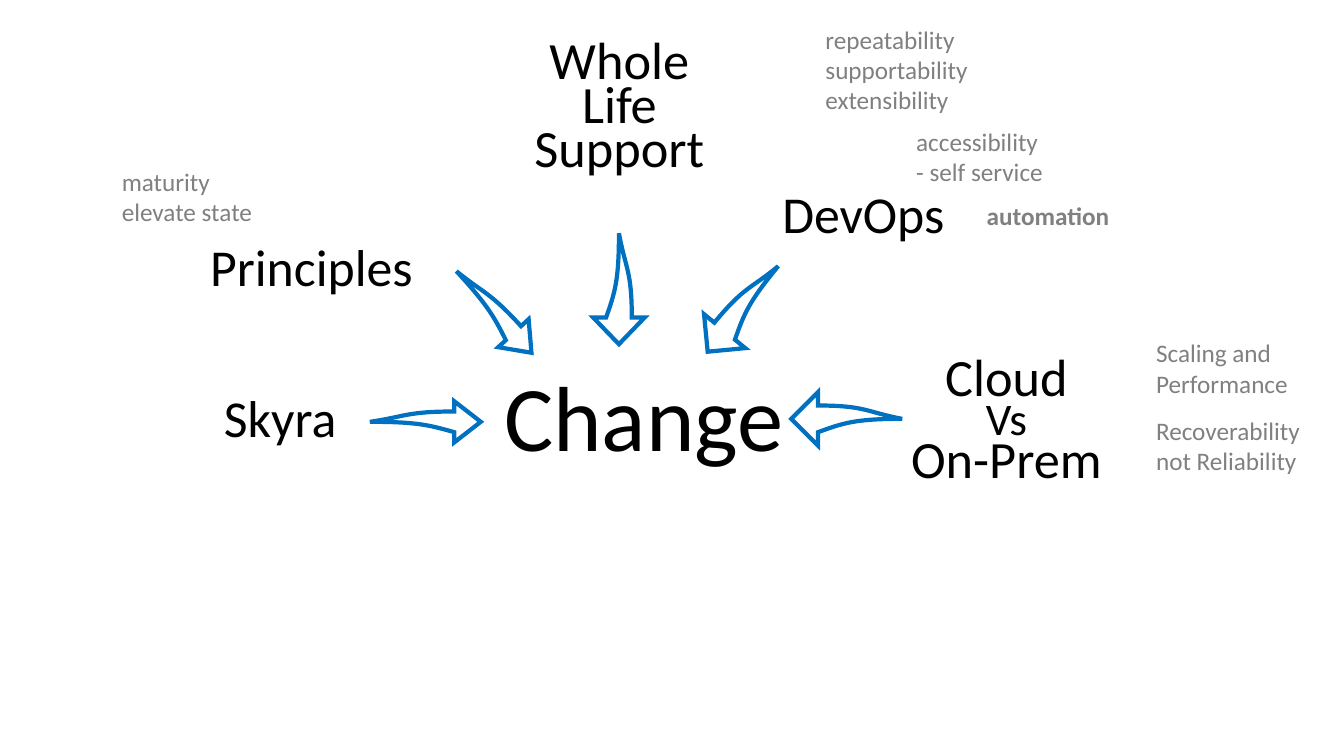
from lxml.etree import SubElement
from pptx import Presentation
from pptx.dml.color import RGBColor
from pptx.enum.text import MSO_ANCHOR, MSO_AUTO_SIZE, PP_ALIGN
from pptx.oxml.ns import qn
from pptx.util import Inches, Pt

COLORS = {"ink": "000000", "note": "808080", "arrow": "0070C0"}
FONT = "Calibri"
CELL = Inches(0.1)  # the grid has 133.33 columns and 75 rows
COLS, ROWS = 133.33, 75
REACH = 11  # length of each arrow in columns


def cells(*nums):
    return [round(n * CELL) for n in nums]


def write(shape, text, size=37, color="ink", bold=False, space=None,
          align=PP_ALIGN.LEFT, anchor=MSO_ANCHOR.TOP, wrap=True,
          fit=MSO_AUTO_SIZE.NONE, sizes=None):
    """Fill a shape with one paragraph per line of text."""
    frame = shape.text_frame
    frame.text = text
    frame.word_wrap = wrap
    frame.auto_size = fit
    frame.vertical_anchor = anchor
    for i, para in enumerate(frame.paragraphs):
        para.alignment = align
        para.line_spacing = space
        font = para.runs[0].font
        font.name, font.bold = FONT, bold
        font.size = Pt(sizes[i] if sizes else size)
        font.color.rgb = RGBColor.from_string(COLORS[color])


def bend(shape, line, spots):
    """Turn a straight segment into a curve with two control points."""
    line.tag = qn("a:cubicBezTo")
    for i, (x, y) in enumerate(spots):
        pt = line.makeelement(qn("a:pt"), {"x": str(x - shape.left),
                                           "y": str(y - shape.top)})
        line.insert(i, pt)


def arrow(slide, x, y, high, turn, flip):
    """Tapered arrow: shares of its length, and of half its height."""
    sign = -1 if flip else 1

    def place(points):
        return [cells(x + REACH * a, y + high / 2 * (1 + sign * b))
                for a, b in points]

    tail, *rest = place([(0, 0), (0.76, -0.5), (0.76, -1), (1, 0),
                         (0.76, 1), (0.76, 0.5), (0, 0)])
    build = slide.shapes.build_freeform(*tail)
    build.add_line_segments(rest, close=True)
    shape = build.convert_to_shape()
    lines = list(shape._element.iter(qn("a:lnTo")))
    bend(shape, lines[0], place([(0.32, -0.25), (0.33, -0.5)]))
    bend(shape, lines[5], place([(0.53, 0.15), (0.42, 0)]))
    shape.rotation = turn
    shape.shadow.inherit = False
    shape.fill.background()
    shape.line.color.rgb = RGBColor.from_string(COLORS["arrow"])
    shape.line.width = Pt(3)
    SubElement(shape.line._ln, qn("a:miter"), lim="800000")


def hub(slide, box):
    """Central word in the title placeholder."""
    title = slide.shapes.title
    title.left, title.top, title.width, title.height = cells(*box)
    write(title, "Change", size=66, space=0.9, anchor=MSO_ANCHOR.MIDDLE)


def topic(slide, box, text, point, notes=(), **style):
    """Label in its box, with arrow and notes offset from the corner."""
    x, y, wide, high = box
    label = slide.shapes.add_textbox(*cells(x, y, wide, high))
    look = {"space": 0.9, "align": PP_ALIGN.CENTER,
            "anchor": MSO_ANCHOR.MIDDLE, **style}
    write(label, text, **look)

    # Arrow towards the hub
    dx, dy, tall, turn, flip = point
    arrow(slide, x + dx, y + dy, tall, turn, flip)

    # Grey notes, as high as their lines
    for dx, dy, span, lines, words, extra in notes:
        note = slide.shapes.add_textbox(
            *cells(x + dx, y + dy, span, 1 + 3.05 * lines))
        write(note, words, size=18, color="note",
              fit=MSO_AUTO_SIZE.SHAPE_TO_FIT_TEXT, **extra)


def main():
    deck = Presentation()
    deck.slide_width, deck.slide_height = cells(COLS, ROWS)
    slide = deck.slides.add_slide(deck.slide_layouts[5])

    hub(slide, (49, 32.6, 33.6, 18.4))
    topic(slide, (89.1, 34.8, 21.5, 14.5), "Cloud\nVs\nOn-Prem",
          (-10.6, 4.1, 5.3, 180, True),
          [(24.6, 5.9, 16.5, 2, "Recoverability not Reliability", {}),
           (24.6, -1.8, 16.5, 2, "Scaling and Performance", {})],
          space=0.7, sizes=(37.4, 32.3, 37.4))
    topic(slide, (50.7, 3.7, 21.5, 14.5), "Whole Life Support",
          (5.2, 22.4, 5.1, 90, False), space=0.7, size=37.4)
    topic(slide, (74.9, 14.2, 21.5, 14.5), "DevOps",
          (-6.7, 13.8, 5.3, 129.5, True),
          [(6, -12.3, 16.5, 3,
            "repeatability\nsupportability\nextensibility", {}),
           (15, -2.2, 14.9, 2, "accessibility\n- self service",
            {"wrap": False}),
           (22, 5.2, 16.5, 1, "automation", {"bold": True})])
    topic(slide, (19.7, 19.5, 22.4, 14.5), "Principles",
          (23.8, 9.4, 4.1, 47.4, False),
          [(-8.6, -3.5, 18.4, 2, "maturity\nelevate state", {})])
    topic(slide, (16.6, 38.4, 22.4, 6.6), "Skyra",
          (20.1, 1.4, 4.1, 0, False))

    deck.save("out.pptx")


if __name__ == "__main__":
    main()
